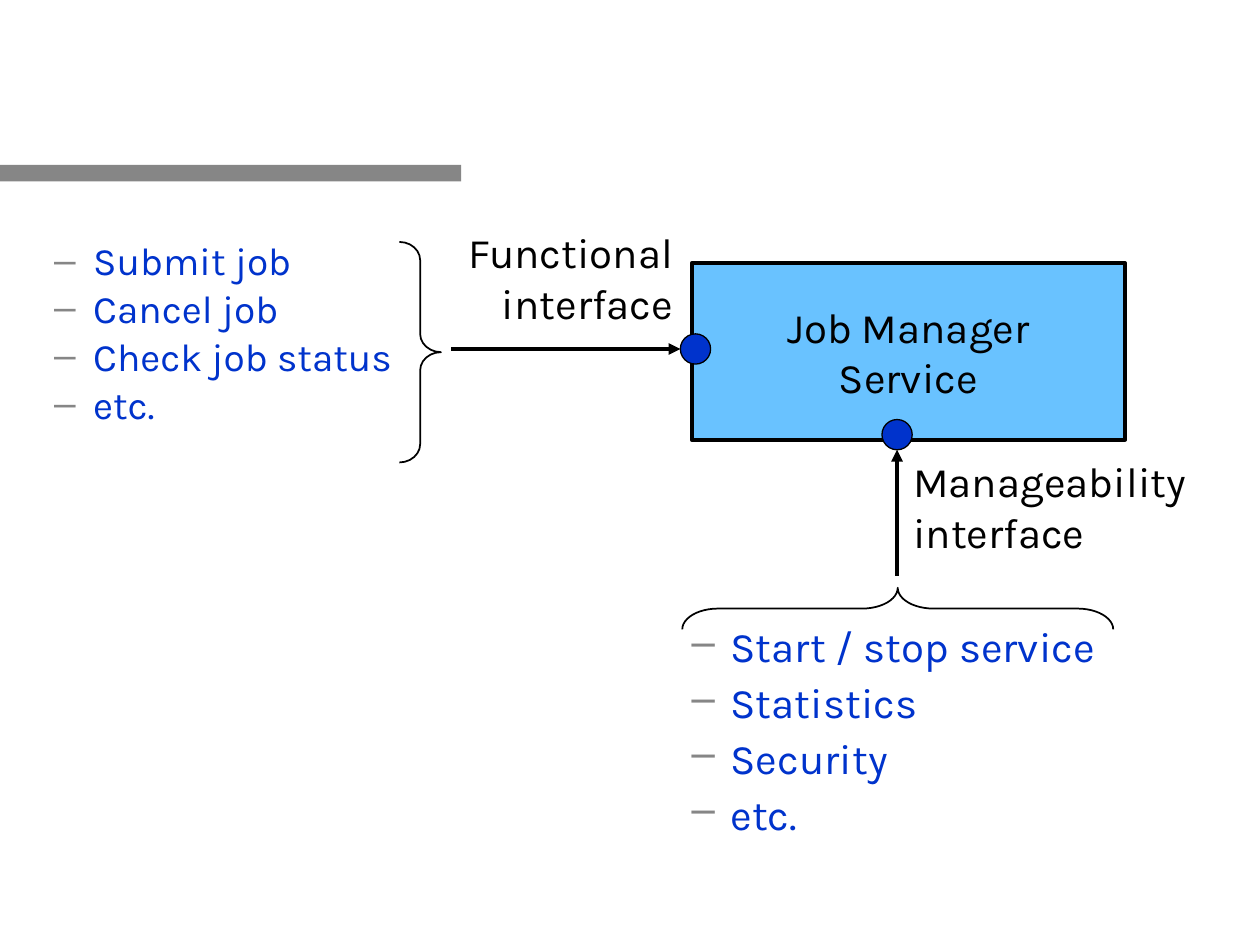
from dataclasses import dataclass

from lxml.etree import SubElement
from pptx import Presentation
from pptx.dml.color import RGBColor
from pptx.enum.shapes import MSO_CONNECTOR, MSO_SHAPE
from pptx.enum.text import MSO_ANCHOR, MSO_AUTO_SIZE, PP_ALIGN
from pptx.oxml.ns import qn
from pptx.util import Inches, Pt

FONT = "Karla"
BLACK, BLUE, SKY, GREY = "000000", "0033CC", "69C2FF", "868686"
COLUMNS, ROWS = 100, 75
SLIDE_WIDTH, SLIDE_HEIGHT = Inches(10), Inches(7.5)


@dataclass(frozen=True)
class Area:
    column: float
    row: float
    columns: float
    rows: float

    def box(self) -> tuple[int, int, int, int]:
        return x(self.column), y(self.row), x(self.columns), y(self.rows)


@dataclass(frozen=True)
class Brace:
    area: Area
    curve: float
    rotation: int = 0


@dataclass(frozen=True)
class Arrow:
    start: tuple[float, float]
    end: tuple[float, float]


@dataclass(frozen=True)
class Label:
    area: Area
    lines: tuple[str, ...]
    align: PP_ALIGN
    wrap: bool = False


def x(columns: float) -> int:
    return round(SLIDE_WIDTH * columns / COLUMNS)


def y(rows: float) -> int:
    return round(SLIDE_HEIGHT * rows / ROWS)


def color(value: str) -> RGBColor:
    return RGBColor.from_string(value)


def add_dash(paragraph) -> None:
    properties = paragraph._p.get_or_add_pPr()
    properties.set("marL", str(Inches(0.81)))
    properties.set("indent", str(Inches(-0.31)))
    bullet_color = SubElement(properties, qn("a:buClr"))
    SubElement(bullet_color, qn("a:srgbClr"), val=GREY)
    SubElement(properties, qn("a:buChar"), char="–")


def write(frame, lines, *, size=24, ink=BLACK, align=PP_ALIGN.LEFT,
          wrap=True, dashed=False, spacing=None) -> None:
    frame.word_wrap = wrap
    frame.auto_size = MSO_AUTO_SIZE.NONE
    frame.vertical_anchor = MSO_ANCHOR.TOP
    for index, line in enumerate(lines):
        paragraph = frame.add_paragraph() if index else frame.paragraphs[0]
        paragraph.text = line
        paragraph.alignment = align
        paragraph.space_before = Pt(6 if dashed and index else 0)
        if spacing:
            paragraph.line_spacing = spacing
        if dashed:
            paragraph.level = 1
            add_dash(paragraph)
        font = paragraph.runs[0].font
        font.name, font.size = FONT, Pt(size)
        font.color.rgb = color(ink)


def draw_shape(slide, kind: MSO_SHAPE, area: Area, *, fill=None, line_width=0.0):
    shape = slide.shapes.add_shape(kind, *area.box())
    shape.shadow.inherit = False
    if fill:
        shape.fill.solid()
        shape.fill.fore_color.rgb = color(fill)
    else:
        shape.fill.background()
    if line_width:
        shape.line.color.rgb = color(BLACK)
        shape.line.width = Pt(line_width)
    else:
        shape.line.fill.background()
    return shape


def draw_brace(slide, brace: Brace) -> None:
    shape = draw_shape(slide, MSO_SHAPE.RIGHT_BRACE, brace.area, line_width=1)
    shape.adjustments[0] = brace.curve
    shape.rotation = brace.rotation


def draw_arrow(slide, arrow: Arrow) -> None:
    (start_column, start_row), (end_column, end_row) = arrow.start, arrow.end
    connector = slide.shapes.add_connector(
        MSO_CONNECTOR.STRAIGHT,
        x(start_column), y(start_row), x(end_column), y(end_row))
    connector.line.color.rgb = color(BLACK)
    connector.line.width = Pt(2.25)
    SubElement(connector.line._get_or_add_ln(), qn("a:tailEnd"), type="triangle")
    SubElement(connector._element.spPr, qn("a:effectLst"))


def draw_label(slide, label: Label) -> None:
    frame = slide.shapes.add_textbox(*label.area.box()).text_frame
    write(frame, label.lines, align=label.align, wrap=label.wrap)


BAR = Area(0, 13.1, 36.6, 1.3)
SERVICE = Area(54.9, 20.9, 34.4, 14)
FUNCTIONS = ("Submit job", "Cancel job", "Check job status", "etc.")
CONTROLS = ("Start / stop service", "Statistics", "Security", "etc.")
PORTS = (Area(54, 26.5, 2.4, 2.4), Area(70, 33.3, 2.4, 2.4))
ARROWS = (Arrow((35.8, 27.7), (54, 27.7)), Arrow((71.2, 45.7), (71.2, 35.7)))
BRACES = (
    Brace(Area(31.7, 19.2, 3.3, 17.5), 0.44),
    Brace(Area(69.6, 31.2, 3.3, 34.2), 0.86, 270),
)
LABELS = (
    Label(Area(58.3, 23.4, 27.6, 9), ("Job Manager Service",), PP_ALIGN.CENTER, True),
    Label(Area(36.1, 17.5, 18.3, 9), ("Functional", "interface"), PP_ALIGN.RIGHT),
    Label(Area(71.5, 35.7, 24.1, 9), ("Manageability", "interface"), PP_ALIGN.LEFT),
)


def main() -> None:
    deck = Presentation()
    deck.slide_width, deck.slide_height = SLIDE_WIDTH, SLIDE_HEIGHT
    slide = deck.slides.add_slide(deck.slide_layouts[1])
    title = slide.shapes.title._element
    title.getparent().remove(title)

    functions = slide.placeholders[1]
    functions.left, functions.top, functions.width, functions.height = Area(
        -1.7, 19, 35, 17.8).box()
    write(functions.text_frame, FUNCTIONS, size=22.2, ink=BLUE,
          dashed=True, spacing=0.8)

    draw_shape(slide, MSO_SHAPE.RECTANGLE, BAR, fill=GREY)
    draw_shape(slide, MSO_SHAPE.RECTANGLE, SERVICE, fill=SKY, line_width=2.25)
    for arrow in ARROWS:
        draw_arrow(slide, arrow)
    for port in PORTS:
        draw_shape(slide, MSO_SHAPE.OVAL, port, fill=BLUE, line_width=0.75)
    for label in LABELS:
        draw_label(slide, label)
    for brace in BRACES:
        draw_brace(slide, brace)

    controls = slide.shapes.add_textbox(*Area(48.9, 49.2, 39.2, 17.9).box())
    write(controls.text_frame, CONTROLS, ink=BLUE, wrap=False,
          dashed=True, spacing=0.9)
    deck.save("out.pptx")


if __name__ == "__main__":
    main()
